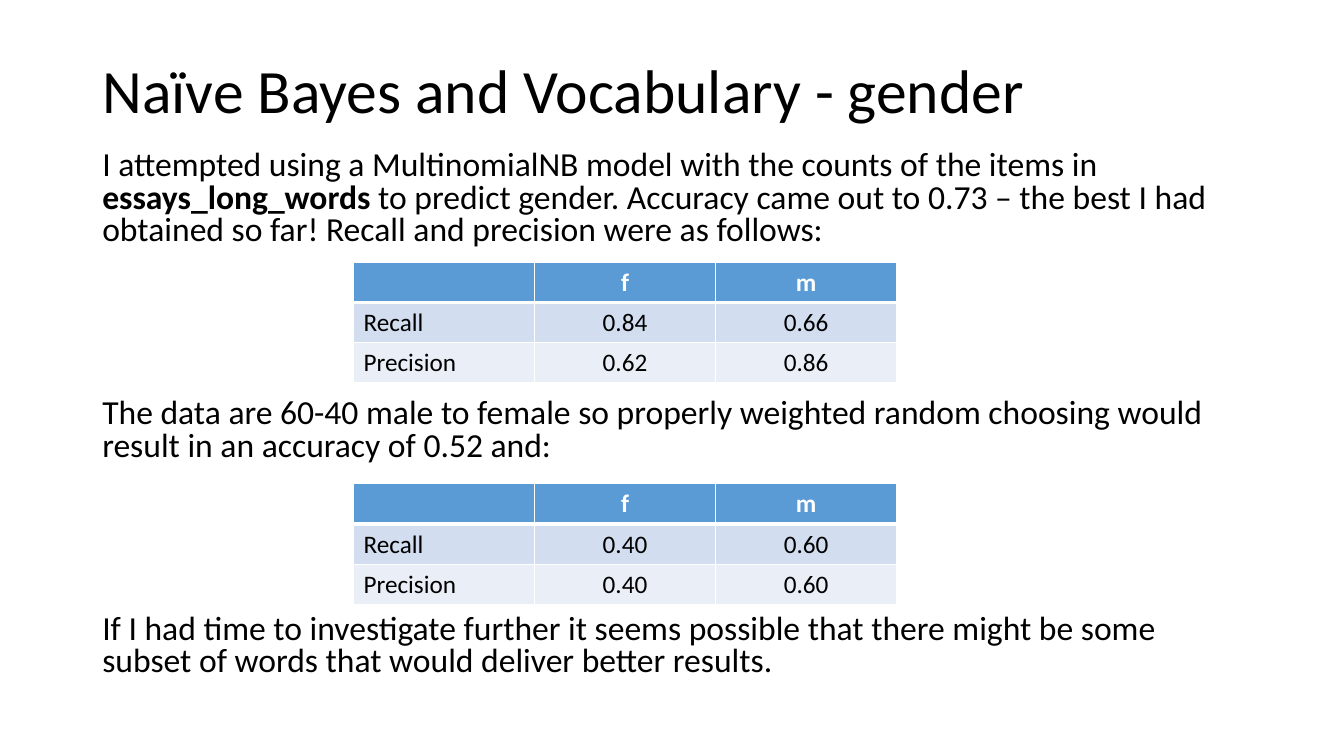
from dataclasses import dataclass

from lxml.etree import SubElement
from pptx import Presentation
from pptx.dml.color import RGBColor
from pptx.enum.text import MSO_ANCHOR as Anchor, PP_ALIGN as Align
from pptx.oxml.ns import qn
from pptx.util import Pt


@dataclass(frozen=True)
class Theme:
    font: str = "Calibri"
    title_size: int = 44
    body_size: int = 24
    table_size: int = 18
    text: str = "000000"
    white: str = "FFFFFF"
    row_fills: tuple = ("5B9BD5", "D2DEEF", "EAEFF7")
    thin: int = 1
    thick: int = 3


THEME = Theme()
TITLE_ONLY = 5

# Each paragraph: space before in points, then (text, bold) pieces
BODY = [
    (10, [
        ("I attempted using a MultinomialNB model with the counts of the items in ", False),
        ("essays_long_words ", True),
        ("to predict gender. Accuracy came out to 0.73 – the best I had obtained "
         "so far! Recall and precision were as follows:", False),
    ]),
    (108, [("The data are 60-40 male to female so properly weighted random choosing "
            "would result in an accuracy of 0.52 and:", False)]),
    (108, [("If I had time to investigate further it seems possible that there might "
            "be some subset of words that would deliver better results.", False)]),
]
HEADER = ("", "f", "m")
MODEL_SCORES = [HEADER, ("Recall", "0.84", "0.66"), ("Precision", "0.62", "0.86")]
RANDOM_SCORES = [HEADER, ("Recall", "0.40", "0.60"), ("Precision", "0.40", "0.60")]


def style_font(font, size, color=THEME.text, bold=False):
    font.name = THEME.font
    font.size = Pt(size)
    font.bold = bold
    font.color.rgb = RGBColor.from_string(color)


def place_title(slide, box, text):
    title = slide.shapes.title
    title.left, title.top, title.width, title.height = map(Pt, box)
    title.text_frame.text = text
    title.text_frame.vertical_anchor = Anchor.MIDDLE
    paragraph = title.text_frame.paragraphs[0]
    paragraph.alignment = Align.LEFT
    paragraph.line_spacing = 0.9
    style_font(paragraph.runs[0].font, THEME.title_size)


def add_body(slide, box, paragraphs):
    text_frame = slide.shapes.add_textbox(*map(Pt, box)).text_frame
    text_frame.word_wrap = True
    for index, (space_before, pieces) in enumerate(paragraphs):
        paragraph = text_frame.add_paragraph() if index else text_frame.paragraphs[0]
        paragraph.line_spacing = 0.8
        paragraph.space_before = Pt(space_before)
        for text, bold in pieces:
            run = paragraph.add_run()
            run.text = text
            style_font(run.font, THEME.body_size, bold=bold)


def add_borders(cell, top, bottom):
    properties = cell._tc.get_or_add_tcPr()
    widths = {"a:lnL": THEME.thin, "a:lnR": THEME.thin, "a:lnT": top, "a:lnB": bottom}
    for tag, width in widths.items():
        line = SubElement(properties, qn(tag), w=str(Pt(width)))
        fill = SubElement(line, qn("a:solidFill"))
        SubElement(fill, qn("a:srgbClr"), val=THEME.white)


def add_score_table(slide, box, rows):
    left, top, width, height = map(Pt, box)
    table = slide.shapes.add_table(len(rows), len(rows[0]), left, top, width, height).table
    for row_index, values in enumerate(rows):
        is_header = row_index == 0
        for column_index, value in enumerate(values):
            cell = table.cell(row_index, column_index)
            # Heavy rule between the header and the scores
            add_borders(cell,
                        top=THEME.thick if row_index == 1 else THEME.thin,
                        bottom=THEME.thick if is_header else THEME.thin)
            cell.fill.solid()
            cell.fill.fore_color.rgb = RGBColor.from_string(THEME.row_fills[row_index])
            cell.text_frame.text = value
            paragraph = cell.text_frame.paragraphs[0]
            paragraph.alignment = Align.CENTER if column_index else Align.LEFT
            color = THEME.white if is_header else THEME.text
            for run in paragraph.runs:
                style_font(run.font, THEME.table_size, color, is_header)


def build_gender_slide(presentation, box):
    left, top, width, height = box
    slide = presentation.slides.add_slide(presentation.slide_layouts[TITLE_ONLY])

    # Title and running text
    title_height = 75.6
    place_title(slide, (left, top, width, title_height),
                "Naïve Bayes and Vocabulary - gender")
    body_top = top + title_height
    add_body(slide, (left, body_top, width, height - title_height), BODY)

    # Score tables in the gaps of the text
    for offset, scores in ((82.8, MODEL_SCORES), (241.2, RANDOM_SCORES)):
        add_score_table(slide, (left + 186.5, body_top + offset, 388, 86.4), scores)


def main():
    presentation = Presentation()
    presentation.slide_width, presentation.slide_height = Pt(960), Pt(540)
    build_gender_slide(presentation, (66, 28.75, 828, 475.2))
    presentation.save("out.pptx")


if __name__ == "__main__":
    main()
